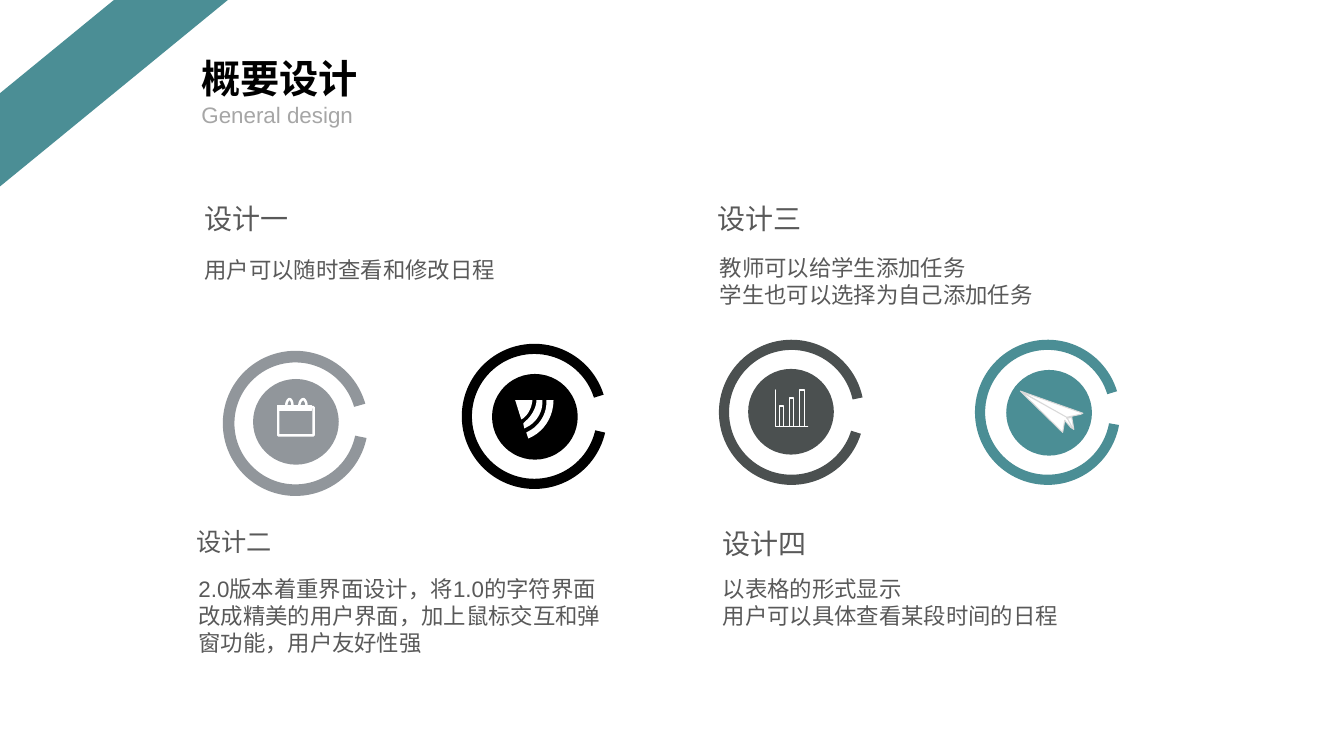
import pptx
import pptx.dml.color
import pptx.enum.shapes
import pptx.enum.text
import pptx.util

COLORS = {
    "teal": "4B8E95", "black": "000000", "gray": "91969B", "slate": "4B5050",
    "white": "FFFFFF", "text": "595959", "subtitle": "A6A6A6", "edge": "D9D9D9",
}
SHAPES = pptx.enum.shapes.MSO_SHAPE
CURVE_STEPS = 10

# Badge: ring left, top, rotation and two arc angles with thickness; disc left, top; colour
BADGES = [
    (2.21, 3.48, 222.2, (89.65, 73.24, 0.08), 2.51, 3.76, "gray"),
    (4.58, 3.41, 224.9, (88.81, 70.61, 0.07), 4.88, 3.71, "black"),
    (7.13, 3.37, 224.7, (91.49, 74.06, 0.07), 7.42, 3.66, "slate"),
    (9.67, 3.37, 225.7, (86.63, 70.46, 0.07), 9.98, 3.67, "teal"),
]

# Outlines: a pair is a line end, six numbers are a Bezier curve
CALENDAR = [[
    (2.87, 3.96), (2.89, 3.96, 2.9, 3.99, 2.9, 4.02), (2.9, 4.04), (2.98, 4.04),
    (2.97, 4.02), (2.97, 3.99, 2.99, 3.96, 3.01, 3.96),
    (3.02, 3.96, 3.04, 3.99, 3.04, 4.02), (3.03, 4.04), (3.11, 4.04),
    (3.11, 4.32), (2.76, 4.32), (2.76, 4.04), (2.85, 4.04), (2.84, 4.02),
    (2.84, 3.99, 2.86, 3.96, 2.87, 3.96),
]]
SIGNAL = [
    [(5.11, 3.97), (5.28, 3.97), (5.28, 3.98),
     (5.27, 4.05, 5.24, 4.11, 5.19, 4.15), (5.17, 4.16)],
    [(5.42, 3.97), (5.49, 3.97), (5.49, 4.14, 5.39, 4.29, 5.24, 4.35),
     (5.22, 4.29), (5.24, 4.28), (5.34, 4.23, 5.42, 4.12, 5.42, 3.99)],
    [(5.32, 3.97), (5.38, 3.97), (5.38, 3.99),
     (5.38, 4.1, 5.31, 4.2, 5.22, 4.24), (5.2, 4.25), (5.19, 4.2),
     (5.21, 4.18), (5.27, 4.13, 5.31, 4.06, 5.32, 3.99)],
]
CHART_AXES = [[(7.69, 3.87), (7.69, 4.23), (8.01, 4.23), (7.69, 4.23)]]
CHART_BARS = [(7.73, 4.03, 0.04, 0.2), (7.83, 3.95, 0.04, 0.28), (7.93, 3.87, 0.05, 0.36)]
PAPER_PLANE = [[
    (10.12, 3.88), (10.74, 4.1), (10.72, 4.11), (10.58, 4.14), (10.12, 3.88),
    (10.15, 3.9), (10.58, 4.14), (10.64, 4.25), (10.58, 4.14), (10.58, 4.15),
    (10.63, 4.14), (10.65, 4.26), (10.62, 4.24), (10.56, 4.17), (10.54, 4.29),
    (10.13, 3.89),
]]

# Heading and body: left, top, width, height, size, lines
DESIGN_TEXTS = [
    (2.03, 2, 2.68, 0.48, 20, "设计一"),
    (2.03, 2.54, 4.56, 0.27, 16, "用户可以随时查看和修改日程"),
    (7.12, 2, 2.68, 0.34, 20, "设计三"),
    (7.14, 2.52, 4.56, 0.54, 16, "教师可以给学生添加任务\n学生也可以选择为自己添加任务"),
    (1.95, 5.22, 2.86, 0.3, 18, "设计二"),
    (7.17, 5.22, 2.33, 0.34, 20, "设计四"),
    (7.17, 5.71, 3.96, 0.54, 16, "以表格的形式显示\n用户可以具体查看某段时间的日程"),
]
VERSION_TEXT = (
    "2.0版本着重界面设计，将1.0的字符界面\n"
    "改成精美的用户界面，加上鼠标交互和弹\n"
    "窗功能，用户友好性强"
)


def length(inches):
    """Convert inches to a Cm length."""
    return pptx.util.Cm(inches * 2.54)


def rgb(name):
    """Return the named colour."""
    return pptx.dml.color.RGBColor.from_string(COLORS[name])


def style(shape, fill=None, line=None, width=1):
    """Set fill and line of a shape, and remove its shadow."""
    shape.shadow.inherit = False
    if fill:
        shape.fill.solid()
        shape.fill.fore_color.rgb = rgb(fill)
    else:
        shape.fill.background()
    if line:
        shape.line.color.rgb = rgb(line)
        shape.line.width = pptx.util.Pt(width)
    else:
        shape.line.fill.background()


def add_preset(slide, kind, box, **look):
    """Add a styled preset shape at a box given in inches."""
    shape = slide.shapes.add_shape(kind, *map(length, box))
    style(shape, **look)
    return shape


def flatten(outline):
    """Return an outline's points with its curves sampled."""
    points = [outline[0]]
    for step in outline[1:]:
        if len(step) == 2:
            points.append(step)
            continue
        corners = (points[-1], step[:2], step[2:4], step[4:])
        for index in range(1, CURVE_STEPS + 1):
            t = index / CURVE_STEPS
            weights = ((1 - t) ** 3, 3 * t * (1 - t) ** 2, 3 * t * t * (1 - t), t ** 3)
            points.append(tuple(
                sum(weight * corner[axis] for weight, corner in zip(weights, corners))
                for axis in (0, 1)))
    return [(length(x), length(y)) for x, y in points]


def add_outline(slide, outlines, **look):
    """Add one freeform made of closed outlines."""
    contours = [flatten(outline) for outline in outlines]
    builder = slide.shapes.build_freeform(*contours[0][0])
    for index, points in enumerate(contours):
        if index:
            builder.move_to(*points[0])
        builder.add_line_segments(points[1:], close=True)
    style(builder.convert_to_shape(), **look)


def add_badge(slide, left, top, rotation, arc, disc_left, disc_top, color):
    """Add an open ring around a disc."""
    ring = add_preset(slide, SHAPES.BLOCK_ARC, (left, top, 1.44, 1.44), fill=color)
    ring.rotation = rotation
    for index, value in enumerate(arc):
        ring.adjustments[index] = value
    add_preset(slide, SHAPES.OVAL, (disc_left, disc_top, 0.85, 0.85), fill=color)


def add_text(slide, box, text, size, color="text", bold=False, inset=True, wrap=True):
    """Add a text box with one paragraph per line of text."""
    frame = slide.shapes.add_textbox(*map(length, box)).text_frame
    frame.word_wrap = wrap
    frame.auto_size = pptx.enum.text.MSO_AUTO_SIZE.SHAPE_TO_FIT_TEXT
    if not inset:
        frame.margin_left = frame.margin_right = 0
        frame.margin_top = frame.margin_bottom = 0
    frame.text = text
    for paragraph in frame.paragraphs:
        for run in paragraph.runs:
            run.font.name = "Arial"
            run.font.size = pptx.util.Pt(size)
            run.font.bold = bold
            run.font.color.rgb = rgb(color)


def add_icons(slide):
    """Add the white icon inside each disc."""
    add_outline(slide, CALENDAR, line="white", width=1.75)
    add_preset(slide, SHAPES.RECTANGLE, (2.75, 4.02, 0.34, 0.05), fill="white", line="white")
    add_outline(slide, SIGNAL, fill="white")
    add_outline(slide, CHART_AXES, line="white")
    for bar in CHART_BARS:
        add_preset(slide, SHAPES.FLOWCHART_PROCESS, bar, line="white")
    add_outline(slide, PAPER_PLANE, fill="white", line="edge", width=0)


def main():
    """Build the general design slide."""
    presentation = pptx.Presentation()
    presentation.slide_width = length(13.33)
    presentation.slide_height = length(7.5)
    slide = presentation.slides.add_slide(presentation.slide_layouts[6])

    add_preset(slide, SHAPES.DIAGONAL_STRIPE, (0, 0, 2.26, 1.85), fill="teal")
    for badge in BADGES:
        add_badge(slide, *badge)
    add_icons(slide)
    for *box, size, text in DESIGN_TEXTS:
        add_text(slide, box, text, size, inset=False)
    add_text(slide, (1.9, 0.49, 1.77, 0.57), "概要设计", 28, "black", bold=True, wrap=False)
    add_text(slide, (1.9, 0.95, 5.54, 0.37), "General design", 16, "subtitle")
    add_text(slide, (1.87, 5.66, 6.67, 0.91), VERSION_TEXT, 16)
    presentation.save("out.pptx")


main()
